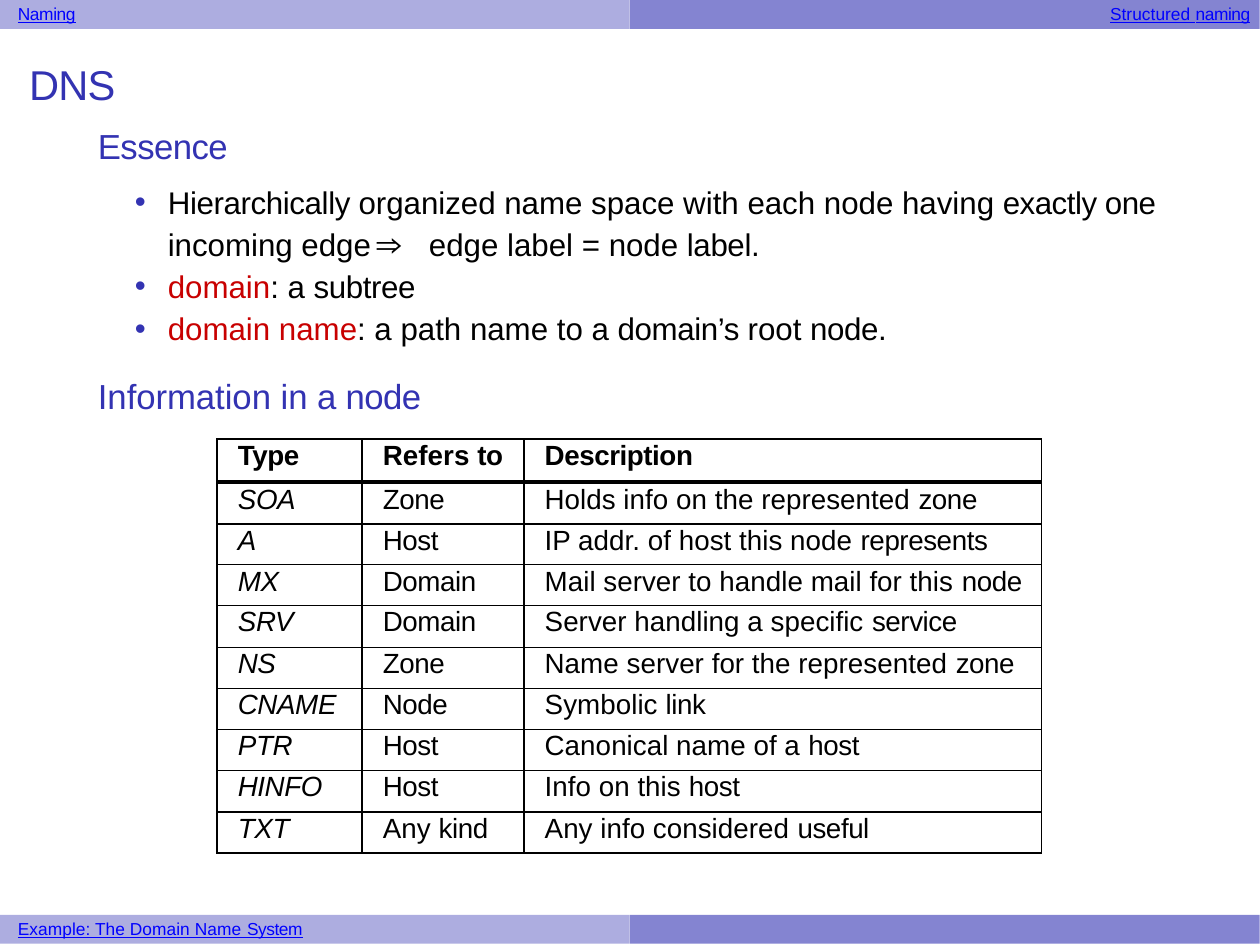
from lxml.etree import SubElement
from pptx import Presentation
from pptx.dml.color import RGBColor
from pptx.enum.shapes import MSO_SHAPE
from pptx.enum.text import MSO_ANCHOR, PP_ALIGN
from pptx.oxml.ns import qn
from pptx.util import Emu, Pt

LIGHT = RGBColor(0xAD, 0xAD, 0xE0)
DARK = RGBColor(0x84, 0x84, 0xD1)
INDIGO = RGBColor(0x33, 0x33, 0xB2)
BLUE = RGBColor(0x00, 0x00, 0xFF)
RED = RGBColor(0xC8, 0x00, 0x00)
BLACK = RGBColor(0x00, 0x00, 0x00)

# Content
TITLE = "DNS"
# text, left, top, width, alignment
NAV = [
    ("Naming", 18, 3, 300, PP_ALIGN.LEFT),
    ("Structured naming", 951, 3, 300, PP_ALIGN.RIGHT),
    ("Example: The Domain Name System", 18, 918, 400, PP_ALIGN.LEFT),
]
HEADINGS = [("Essence", 125), ("Information in a node", 375)]
# runs of each bullet: text, colour, spacing in hundredths of a point, font
BULLETS = [
    [("Hierarchically ", BLACK, -10, "Arial"),
     ("organized name space with each node having ", BLACK, 0, "Arial"),
     ("exactly one ", BLACK, -15, "Arial"),
     ("incoming edge ", BLACK, 0, "Arial"),
     ("⇒ ", BLACK, 170, "Courier New"),
     ("edge label = node ", BLACK, 0, "Arial"),
     ("label.", BLACK, -10, "Arial")],
    [("domain", RED, 0, "Arial"),
     (": a ", BLACK, 0, "Arial"),
     ("subtree", BLACK, -10, "Arial")],
    [("domain name", RED, 0, "Arial"),
     (": a path name to a ", BLACK, 0, "Arial"),
     ("domain’s ", BLACK, -10, "Arial"),
     ("root ", BLACK, 0, "Arial"),
     ("node.", BLACK, -10, "Arial")],
]
RECORDS = [
    ("Type", "Refers to", "Description"),
    ("SOA", "Zone", "Holds info on the represented zone"),
    ("A", "Host", "IP addr. of host this node represents"),
    ("MX", "Domain", "Mail server to handle mail for this node"),
    ("SRV", "Domain", "Server handling a specific service"),
    ("NS", "Zone", "Name server for the represented zone"),
    ("CNAME", "Node", "Symbolic link"),
    ("PTR", "Host", "Canonical name of a host"),
    ("HINFO", "Host", "Info on this host"),
    ("TXT", "Any kind", "Any info considered useful"),
]
COL_WIDTHS = [145, 162, 518]
ROW_HEIGHTS = [43, 42, 41, 41, 42, 41, 41, 41, 42, 41]


def px(n):
    return Emu(round(n * 914400 / 250))


def add_run(p, text, size, color, spacing=0, font="Arial"):
    r = p.add_run()
    r.text = text
    r.font.name, r.font.size = font, Pt(size)
    r.font.color.rgb = color
    if spacing:
        r.font._element.set("spc", str(spacing))
    return r


def add_tight_end(p, text, size, color):
    """Write text with its last word set slightly tighter."""
    start, space, last = text.rpartition(" ")
    runs = [add_run(p, start + space, size, color)] if start else []
    return runs + [add_run(p, last, size, color, -15)]


def set_frame(s, left, top, width, height):
    s.left, s.top, s.width, s.height = map(px, (left, top, width, height))
    tf = s.text_frame
    tf.margin_left = tf.margin_top = tf.margin_right = tf.margin_bottom = 0
    tf.vertical_anchor = MSO_ANCHOR.TOP
    tf.word_wrap = True
    return tf


def add_text(left, top, width, height):
    return set_frame(slide.shapes.add_textbox(0, 0, 0, 0), left, top, width, height)


def set_bullet(p, indent):
    pPr = p._p.get_or_add_pPr()
    pPr.set("marL", str(px(indent)))
    pPr.set("indent", str(-px(indent)))
    SubElement(SubElement(pPr, qn("a:buClr")), qn("a:srgbClr"), val=str(INDIGO))
    SubElement(pPr, qn("a:buFont"), typeface="Arial")
    SubElement(pPr, qn("a:buChar"), char="•")


def set_border(cell, side, width):
    ln = SubElement(cell._tc.get_or_add_tcPr(), qn("a:ln" + side), w=str(Pt(width)))
    SubElement(SubElement(ln, qn("a:solidFill")), qn("a:srgbClr"), val=str(BLACK))


prs = Presentation()
prs.slide_width, prs.slide_height = Pt(363), Pt(272.5)
slide = prs.slides.add_slide(prs.slide_layouts[5])

# Navigation bands and their labels
for top in (0, 915):
    for left, color in ((0, LIGHT), (630, DARK)):
        band = slide.shapes.add_shape(
            MSO_SHAPE.RECTANGLE, px(left), px(top), px(630), px(29))
        band.shadow.inherit = False
        band.fill.solid()
        band.fill.fore_color.rgb = color
        band.line.fill.background()
for text, left, top, width, align in NAV:
    p = add_text(left, top, width, 21).paragraphs[0]
    p.alignment = align
    for r in add_tight_end(p, text, 5, BLUE):
        r.font.underline = True

# Title and headings
p = set_frame(slide.shapes.title, 29, 59, 1100, 48).paragraphs[0]
p.alignment = PP_ALIGN.LEFT
add_run(p, TITLE, 12, INDIGO, -20)
for text, top in HEADINGS:
    add_tight_end(add_text(98, top, 1000, 40).paragraphs[0], text, 10, INDIGO)

# Bullets
tf = add_text(135, 179, 1040, 168)
for i, runs in enumerate(BULLETS):
    p = tf.add_paragraph() if i else tf.paragraphs[0]
    set_bullet(p, 33)
    p.line_spacing = Pt(12.1)
    for text, color, spacing, font in runs:
        r = add_run(p, text, 9, color, spacing, font)
        r.font.italic = font == "Courier New"

# Record table
table = slide.shapes.add_table(
    len(RECORDS), len(COL_WIDTHS), px(217), px(439),
    px(sum(COL_WIDTHS)), px(sum(ROW_HEIGHTS))).table
table.first_row = table.horz_banding = False
for column, width in zip(table.columns, COL_WIDTHS):
    column.width = px(width)
for i, (row, height, record) in enumerate(zip(table.rows, ROW_HEIGHTS, RECORDS)):
    row.height = px(height)
    for j, (cell, text) in enumerate(zip(row.cells, record)):
        cell.margin_left, cell.margin_top = px(21), px(2 if i == 1 else 1)
        cell.margin_right = cell.margin_bottom = 0
        for side in "LRTB":
            thick = (i, side) in ((0, "B"), (1, "T"))
            set_border(cell, side, 1.5 if thick else 0.5)
        cell.fill.background()
        for r in add_tight_end(cell.text_frame.paragraphs[0], text, 8, BLACK):
            r.font.bold = i == 0
            r.font.italic = i > 0 and j == 0

prs.save("out.pptx")
